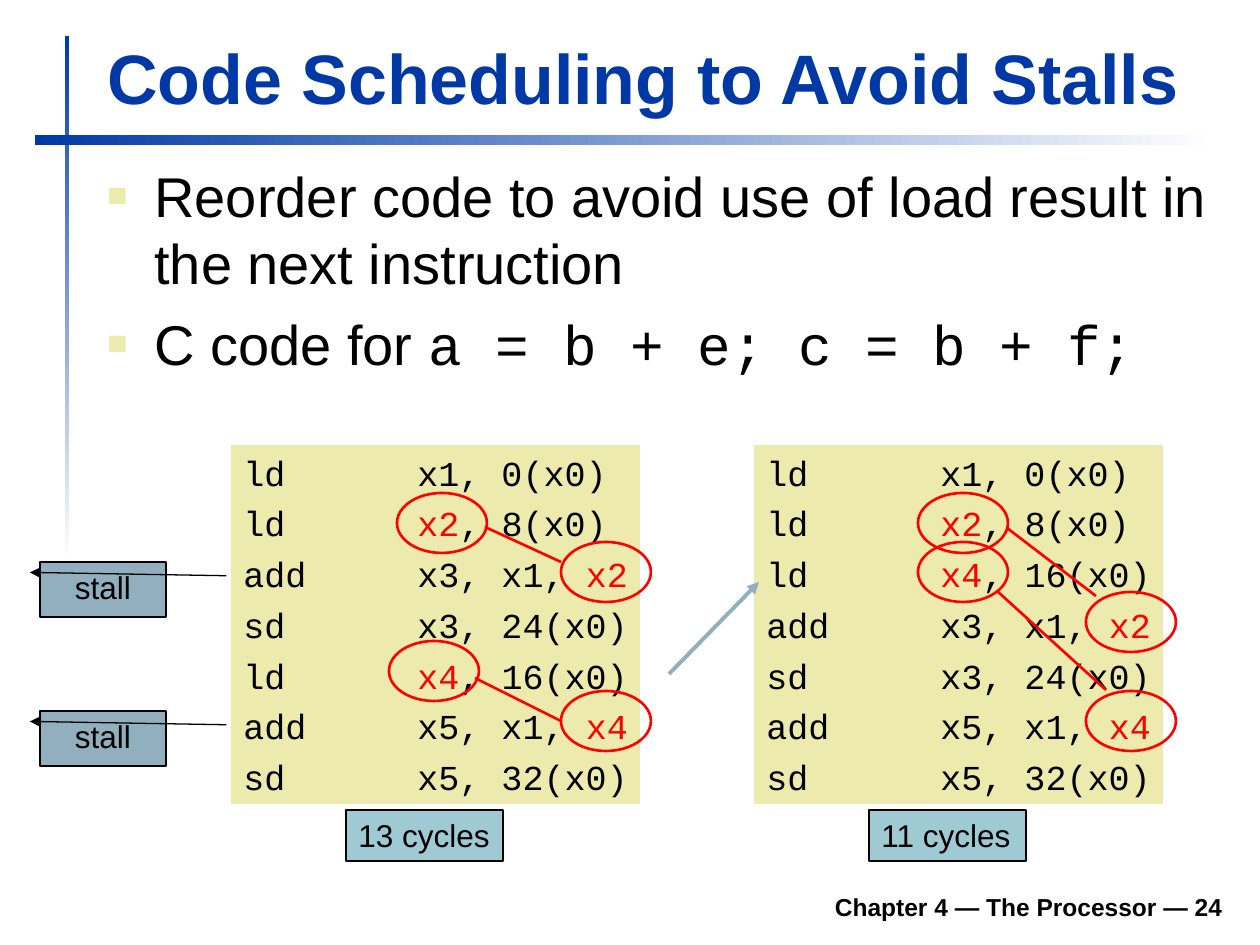
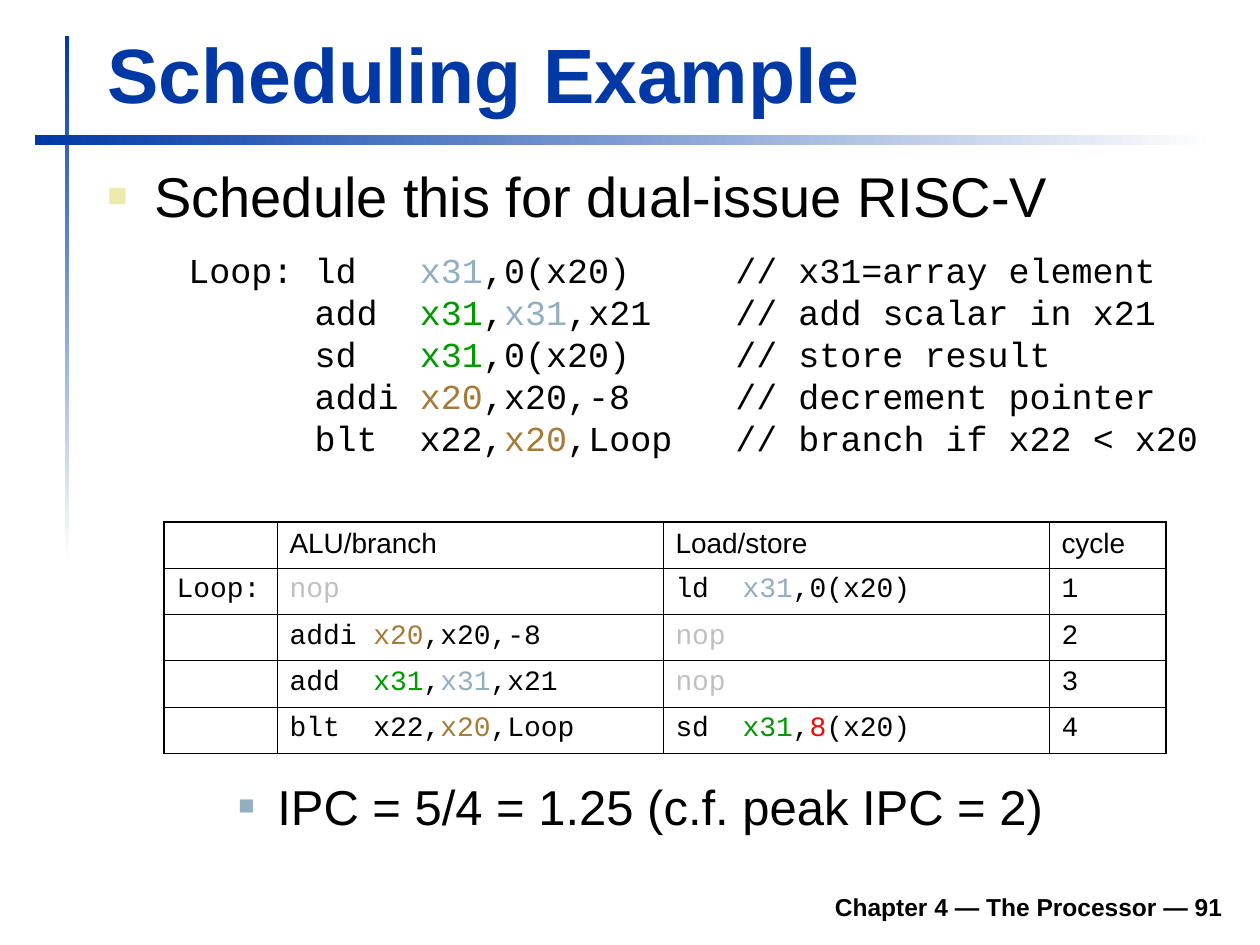
from dataclasses import dataclass

from lxml import etree
from pptx import Presentation
from pptx import util as u
from pptx.dml import color as colors
from pptx.enum import shapes, text
from pptx.oxml import ns


@dataclass(frozen=True)
class Theme:
    sans: str = "Arial"
    mono: str = "Courier New"
    navy: str = "0039A6"
    sand: str = "ECEAAC"
    steel: str = "91AFBF"
    aqua: str = "9FCAD3"
    green: str = "009900"
    brown: str = "A47B38"
    red: str = "FF0000"
    gray: str = "C0C0C0"
    black: str = "000000"
    white: str = "FFFFFF"
    body_size: int = 32
    sub_size: int = 28
    code_size: int = 20
    label_size: int = 18
    table_size: int = 16
    footer_size: int = 14


THEME = Theme()


@dataclass(frozen=True)
class Box:
    x: int
    y: int
    w: int
    h: int

    def inner(self, dx, dy, w, h):
        return Box(self.x + dx, self.y + dy, w, h)

    def emu(self):
        return [px(value) for value in (self.x, self.y, self.w, self.h)]


PAGE = Box(0, 0, 1260, 945)
RING_W, RING_H = 90, 60


def px(length):
    return u.Emu(round(length * 914400 / 126))


def rgb(name):
    return colors.RGBColor.from_string(getattr(THEME, name))


def add_xml(parent, tag, **attributes):
    return etree.SubElement(parent, ns.qn(tag), attributes)


def add_color(parent, name):
    add_xml(parent, "a:srgbClr", val=getattr(THEME, name))


def write_paragraph(paragraph, markup, size, font="sans", color="black", bold=False):
    """Runs written as [color:words] or [mono:words] stand out from the rest."""
    for index, piece in enumerate(markup.replace("]", "[").split("[")):
        if not piece:
            continue
        mark, words = piece.split(":", 1) if index % 2 else ("", piece)
        run = paragraph.add_run()
        run.text = words
        run.font.size = u.Pt(size)
        run.font.bold = bold
        run.font.name = getattr(THEME, "mono" if mark == "mono" else font)
        run.font.color.rgb = rgb(mark if mark not in ("", "mono") else color)
    if not markup:
        add_xml(paragraph._p, "a:endParaRPr", sz=str(size * 100))


def write_lines(frame, lines, size, space=0, align=text.PP_ALIGN.LEFT,
                anchor=text.MSO_ANCHOR.TOP, wrap=True, bullet=None, tab=0, **style):
    frame.word_wrap = wrap
    frame.vertical_anchor = anchor
    for index, line in enumerate(lines):
        paragraph = frame.add_paragraph() if index else frame.paragraphs[0]
        if bullet:
            add_bullet(paragraph, *bullet)
        if tab:
            stops = add_xml(paragraph._p.get_or_add_pPr(), "a:tabLst")
            for count in (1, 2):
                add_xml(stops, "a:tab", pos=str(px(tab * count)), algn="l")
        paragraph.alignment = align
        if index:
            paragraph.space_before = u.Pt(space)
        write_paragraph(paragraph, line, size, **style)


def add_bullet(paragraph, color, percent, margin, hang):
    properties = paragraph._p.get_or_add_pPr()
    properties.set("marL", str(px(margin)))
    properties.set("indent", str(-px(hang)))
    add_color(add_xml(properties, "a:buClr"), color)
    add_xml(properties, "a:buSzPct", val=str(percent * 1000))
    add_xml(properties, "a:buFont", typeface=THEME.sans)
    add_xml(properties, "a:buChar", char="■")


def add_text(slide, box, lines, size, **options):
    write_lines(slide.shapes.add_textbox(*box.emu()).text_frame, lines, size, **options)


def add_block(slide, kind, box, fill=None, line=None, width=0.75):
    shape = slide.shapes.add_shape(kind, *box.emu())
    shape.shadow.inherit = False
    if fill:
        shape.fill.solid()
        shape.fill.fore_color.rgb = rgb(fill)
    else:
        shape.fill.background()
    if line:
        shape.line.color.rgb = rgb(line)
        shape.line.width = u.Pt(width)
    else:
        shape.line.fill.background()
    return shape


def add_line(slide, box, start, end, color, width):
    ends = [px(value) for value in (box.x + start[0], box.y + start[1],
                                    box.x + end[0], box.y + end[1])]
    connector = slide.shapes.add_connector(shapes.MSO_CONNECTOR.STRAIGHT, *ends)
    connector.line.color.rgb = rgb(color)
    connector.line.width = u.Pt(width)
    add_xml(connector._element.spPr, "a:effectLst")
    return connector


def add_arrowhead(shape, end):
    add_xml(shape.line._get_or_add_ln(), end, type="triangle")


def add_band(slide, box, angle):
    band = add_block(slide, shapes.MSO_SHAPE.RECTANGLE, box)
    band.fill.gradient()
    band.fill.gradient_angle = angle
    for stop, color in zip(band.fill.gradient_stops, ("navy", "white")):
        stop.color.rgb = rgb(color)


def add_page(presentation, title, title_size, number):
    slide = presentation.slides.add_slide(presentation.slide_layouts[6])
    add_band(slide, PAGE.inner(65, 36, 4, 525), 270)
    add_band(slide, PAGE.inner(35, 135, 1180, 10), 0)
    add_text(slide, PAGE.inner(233, 879, 1002, 49),
             [f"Chapter 4 — The Processor — {number}"], THEME.footer_size,
             bold=True, align=text.PP_ALIGN.RIGHT, anchor=text.MSO_ANCHOR.BOTTOM)
    add_text(slide, PAGE.inner(95, 20, 1138, 105), [title], title_size,
             bold=True, color="navy", anchor=text.MSO_ANCHOR.BOTTOM)
    return slide


def add_body(slide, box, lines):
    add_text(slide, box, lines, THEME.body_size, space=8, bullet=("sand", 60, 47, 47))


def ring_top(row):
    return 48 + (row - 1) * 99 // 2


def add_code_panel(slide, box, code, cycles):
    panel = add_block(slide, shapes.MSO_SHAPE.RECTANGLE, box, "sand")
    write_lines(panel.text_frame, code, THEME.code_size, space=5, wrap=False,
                tab=87, font="mono")
    badge = add_block(slide, shapes.MSO_SHAPE.RECTANGLE,
                      box.inner(115, 365, 157, 51), "aqua", "black")
    write_lines(badge.text_frame, [f"{cycles} cycles"], THEME.label_size, wrap=False)


def add_dependencies(slide, box, rings, links):
    for left, row in rings:
        add_block(slide, shapes.MSO_SHAPE.OVAL,
                  box.inner(left, ring_top(row), RING_W, RING_H), None, "red", 1.5)
    for start, end in links:
        add_line(slide, box, start, end, "red", 1.5)


def add_stall(slide, box, row):
    stall = add_block(slide, shapes.MSO_SHAPE.LINE_CALLOUT_1,
                      box.inner(-191, ring_top(row) + 20, 126, 55), "steel", "black")
    for index, value in enumerate((0.19, -0.08, 0.25, 1.48)):
        stall.adjustments[index] = value
    add_arrowhead(stall, "a:headEnd")
    write_lines(stall.text_frame, ["stall"], THEME.label_size,
                align=text.PP_ALIGN.CENTER)


def build_stalls_slide(presentation):
    slide = add_page(presentation, "Code Scheduling to Avoid Stalls", 40, 24)
    add_body(slide, PAGE.inner(95, 155, 1139, 255), [
        "Reorder code to avoid use of load result in the next instruction",
        "C code for [mono:a = b + e; c = b + f;]"])

    load_b, load_e, load_f = "ld\t\tx1, 0(x0)", "ld\t\t[red:x2], 8(x0)", "ld\t\t[red:x4], 16(x0)"
    first_sum = ["add\t\tx3, x1, [red:x2]", "sd\t\tx3, 24(x0)"]
    second_sum = ["add\t\tx5, x1, [red:x4]", "sd\t\tx5, 32(x0)"]
    before = PAGE.inner(231, 445, 409, 359)
    after = before.inner(523, 0, before.w, before.h)

    add_code_panel(slide, before, [load_b, load_e, *first_sum, load_f, *second_sum], 13)
    add_code_panel(slide, after, [load_b, load_e, load_f, *first_sum, *second_sum], 11)
    for row in (2, 5):
        add_stall(slide, before, row)
    reorder = add_line(slide, before, (438, 229), (528, 137), "steel", 2.25)
    add_arrowhead(reorder, "a:tailEnd")
    add_dependencies(slide, before, [(166, 1), (330, 2), (158, 4), (330, 5)],
                     [((254, 82), (330, 117)), ((244, 233), (330, 276))])
    add_dependencies(slide, after, [(164, 1), (332, 3), (332, 5), (164, 2)],
                     [((253, 83), (342, 151)), ((243, 146), (352, 245))])


def add_cell_borders(cell, widths):
    properties = cell._tc.get_or_add_tcPr()
    for index, (side, width) in enumerate(zip("LRTB", widths)):
        border = etree.Element(ns.qn(f"a:ln{side}"), w=str(u.Pt(width)))
        add_color(add_xml(border, "a:solidFill"), "black")
        properties.insert(index, border)


def add_schedule_table(slide, box, columns, rows):
    thin, medium, thick = 0.45, 0.75, 1.08
    table = slide.shapes.add_table(len(rows), len(columns), *box.emu()).table
    table.first_row = table.horz_banding = False
    for column, width in zip(table.columns, columns):
        column.width = px(width)
    for row_index, values in enumerate(rows):
        table.rows[row_index].height = px(box.h / len(rows))
        for column_index, value in enumerate(values):
            cell = table.cell(row_index, column_index)
            cell.fill.solid()
            cell.fill.fore_color.rgb = rgb("white")
            write_lines(cell.text_frame, [value], THEME.table_size,
                        font="mono" if row_index else "sans")
            add_cell_borders(cell, (
                thin if column_index else thick,
                thick if column_index == len(columns) - 1 else thin,
                (thick, medium, thin)[min(row_index, 2)],
                thin if row_index else medium))


def build_example_slide(presentation):
    slide = add_page(presentation, "Scheduling Example", 44, 91)
    add_body(slide, PAGE.inner(95, 155, 1139, 96), ["Schedule this for dual-issue RISC-V"])
    add_text(slide, PAGE.inner(176, 242, 1038, 223), [
        "Loop: ld   [steel:x31],0(x20)     // x31=array element",
        "      add  [green:x31],[steel:x31],x21    // add scalar in x21",
        "      sd   [green:x31],0(x20)     // store result",
        "      addi [brown:x20],x20,-8     // decrement pointer",
        "      blt  x22,[brown:x20],Loop   // branch if x22 < x20",
    ], THEME.code_size, font="mono", wrap=False)
    add_schedule_table(slide, PAGE.inner(164, 522, 1002, 231), (113, 386, 386, 117), [
        ("", "ALU/branch", "Load/store", "cycle"),
        ("Loop:", "[gray:nop]", "ld  [steel:x31],0(x20)", "1"),
        ("", "addi [brown:x20],x20,-8", "[gray:nop]", "2"),
        ("", "add  [green:x31],[steel:x31],x21", "[gray:nop]", "3"),
        ("", "blt  x22,[brown:x20],Loop", "sd  [green:x31],[red:8](x20)", "4")])
    add_text(slide, PAGE.inner(163, 770, 1071, 89),
             ["IPC = 5/4 = 1.25 (c.f. peak IPC = 2)"], THEME.sub_size,
             bullet=("steel", 55, 102, 39))


def main():
    presentation = Presentation()
    presentation.slide_width = px(PAGE.w)
    presentation.slide_height = px(PAGE.h)
    build_stalls_slide(presentation)
    build_example_slide(presentation)
    presentation.save("out.pptx")


if __name__ == "__main__":
    main()
